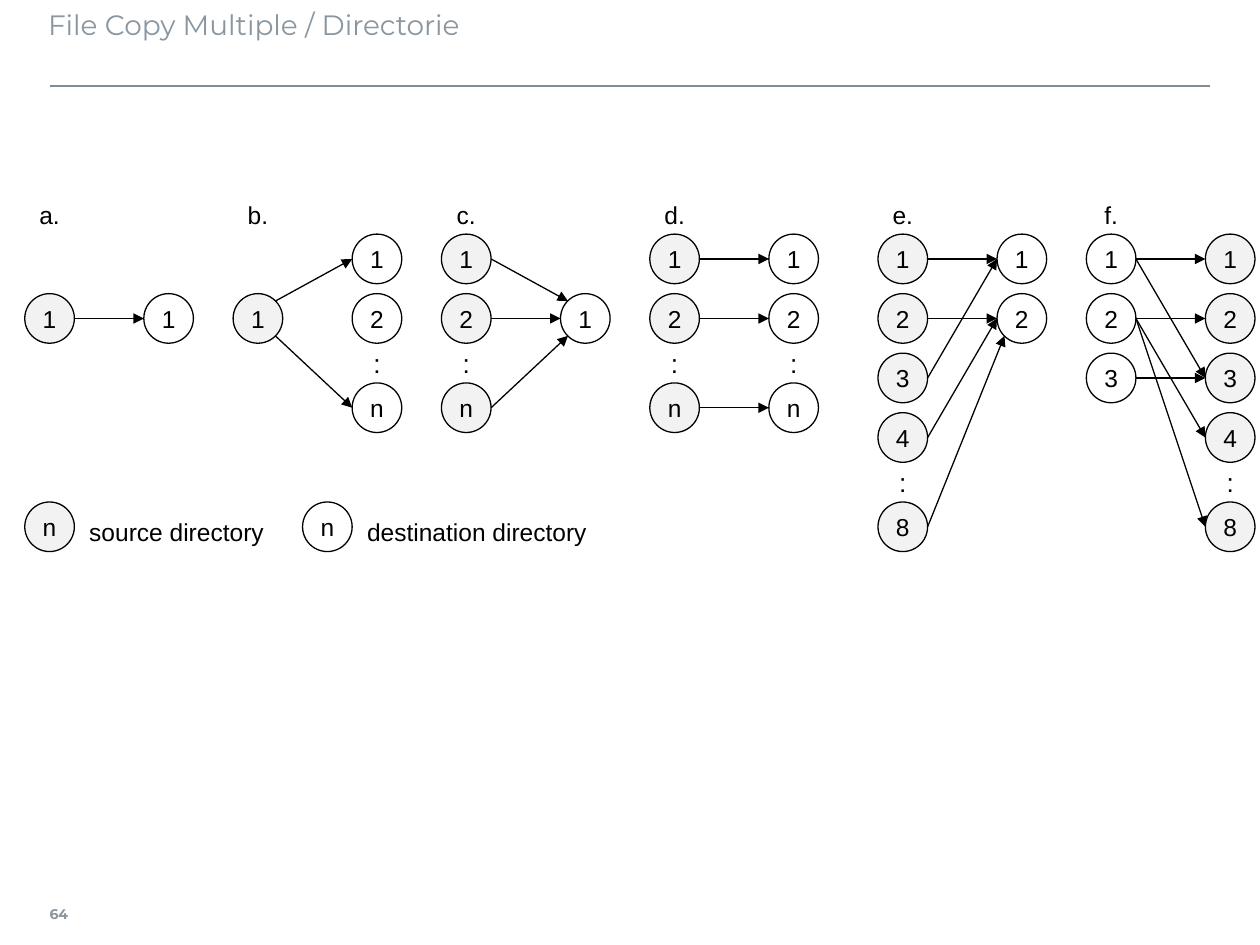
from dataclasses import dataclass

from lxml import etree
from pptx import Presentation
from pptx.dml.color import RGBColor
from pptx.enum.shapes import MSO_CONNECTOR, MSO_SHAPE
from pptx.enum.text import MSO_ANCHOR, PP_ALIGN
from pptx.oxml.ns import qn
from pptx.util import Cm, Pt

STRAIGHT = MSO_CONNECTOR.STRAIGHT
OVAL = MSO_SHAPE.OVAL
TOP, MIDDLE = MSO_ANCHOR.TOP, MSO_ANCHOR.MIDDLE
LEFT, CENTER = PP_ALIGN.LEFT, PP_ALIGN.CENTER


@dataclass(frozen=True)
class Theme:
    """Colours, fonts and type sizes of the slide."""
    ink: RGBColor = RGBColor(0, 0, 0)
    heading: RGBColor = RGBColor(0x89, 0x96, 0xA0)
    rule: RGBColor = RGBColor(0x80, 0x8D, 0x97)
    source: RGBColor = RGBColor(0xF2, 0xF2, 0xF2)
    heading_font: str = "Montserrat"
    body_font: str = "Arial"
    title_size: int = 16
    body_size: int = 14
    dots_size: int = 15
    number_size: int = 8


THEME = Theme()

# Diagram grid, in centimetres
DIAMETER = 1.0
ROW_TOP, ROW_PITCH = 4.72, 1.2
TARGET_SHIFT = 2.4
LABEL_TOP = 3.92
LABEL_WIDTH, LABEL_HEIGHT = 0.6, 0.8
LABEL_INSET = (DIAMETER - LABEL_WIDTH) / 2
LEGEND_ROW, LEGEND_WIDTH = 4.5, 4.8

# Points on a circle, as fractions of its diameter
E, W = (1, 0.5), (0, 0.5)
NE, SE = (0.85, 0.15), (0.85, 0.85)
NW, SW = (0.15, 0.15), (0.15, 0.85)

# Circle label -> row; a half row leaves room for the dots
ONE = {"1": 1}
TWO = {"1": 0, "2": 1}
THREE = {**TWO, "3": 2}
MANY = {**TWO, "n": 2.5}
EIGHT = {**THREE, "4": 3, "8": 4.5}

# name, left, left circles, right circles, left side is source,
# links (from, to, leaving point, arriving point)
CASES = [
    ("a.", 0.5, ONE, ONE, True, [("1", "1", E, W)]),
    ("b.", 4.7, ONE, MANY, True, [("1", "1", NE, W), ("1", "n", SE, W)]),
    ("c.", 8.9, MANY, ONE, True,
     [("1", "1", E, NW), ("2", "1", E, W), ("n", "1", E, SW)]),
    ("d.", 13.1, MANY, MANY, True, [(key, key, E, W) for key in MANY]),
    ("e.", 17.7, EIGHT, TWO, True,
     [("1", "1", E, W), ("2", "2", E, W), ("3", "1", E, W),
      ("4", "2", E, W), ("8", "2", E, SW)]),
    ("f.", 21.9, THREE, EIGHT, False,
     [("1", "1", E, W), ("1", "3", E, W), ("2", "2", E, W),
      ("2", "4", E, W), ("2", "8", E, W), ("3", "3", E, W)]),
]


def write(shape, text, *, size=THEME.body_size, font=THEME.body_font,
          color=THEME.ink, bold=False, align=CENTER, anchor=MIDDLE,
          wrap=False, insets=(0.1, 0.1, 0.1, 0.1)):
    """Put one formatted paragraph into a shape."""
    frame = shape.text_frame
    frame.word_wrap = wrap
    frame.vertical_anchor = anchor
    (frame.margin_left, frame.margin_top,
     frame.margin_right, frame.margin_bottom) = map(Cm, insets)
    para = frame.paragraphs[0]
    para.alignment = align
    span = para.add_run()
    span.text = text
    span.font.size = Pt(size)
    span.font.name = font
    span.font.bold = bold
    span.font.color.rgb = color


def add_text(page, text, left, top, width, height, **style):
    """Add a text box."""
    box = page.shapes.add_textbox(Cm(left), Cm(top), Cm(width), Cm(height))
    write(box, text, **style)


def add_line(page, start, end, *, color=THEME.ink, width=0.75, arrow=False):
    """Add a straight line, with an arrowhead at its end if wanted."""
    line = page.shapes.add_connector(STRAIGHT, *map(Cm, start + end))
    line.line.color.rgb = color
    line.line.width = Pt(width)
    if arrow:
        outline = line.line._get_or_add_ln()
        etree.SubElement(outline, qn("a:tailEnd"), type="triangle")
    etree.SubElement(line._element.spPr, qn("a:effectLst"))


def row_top(row):
    """Return the top of a circle row."""
    return ROW_TOP + row * ROW_PITCH


def add_circle(page, text, left, row, is_source):
    """Add a directory circle, filled when it is a source."""
    circle = page.shapes.add_shape(OVAL, Cm(left), Cm(row_top(row)),
                                   Cm(DIAMETER), Cm(DIAMETER))
    circle.shadow.inherit = False
    if is_source:
        circle.fill.solid()
        circle.fill.fore_color.rgb = THEME.source
    else:
        circle.fill.background()
    circle.line.color.rgb = THEME.ink
    circle.line.width = Pt(0.75)
    write(circle, text)


def add_label(page, text, left, top, **style):
    """Add a short label centred on a column of circles."""
    add_text(page, text, left + LABEL_INSET, top, LABEL_WIDTH, LABEL_HEIGHT,
             insets=(0, 0.1, 0, 0.1), **style)


def add_column(page, left, circles, is_source):
    """Add a column of circles, with dots above a half row."""
    for text, row in circles.items():
        add_circle(page, text, left, row, is_source)
        if row % 1:
            add_label(page, ":", left, row_top(row) - LABEL_HEIGHT,
                      size=THEME.dots_size)


def point(left, row, site):
    """Return the position of a point on a circle."""
    return left + site[0] * DIAMETER, row_top(row) + site[1] * DIAMETER


def add_case(page, name, left, starts, ends, starts_are_sources, links):
    """Add one copy case: label, two columns and their arrows."""
    right = left + TARGET_SHIFT
    add_label(page, name, left, LABEL_TOP)
    add_column(page, left, starts, starts_are_sources)
    add_column(page, right, ends, not starts_are_sources)
    for start, end, leaving, arriving in links:
        add_line(page, point(left, starts[start], leaving),
                 point(right, ends[end], arriving), arrow=True)


def add_legend(page, text, left, is_source):
    """Add a legend circle with its explanation."""
    add_circle(page, "n", left, LEGEND_ROW, is_source)
    add_text(page, text, left + 1.3, row_top(LEGEND_ROW) + 0.2,
             LEGEND_WIDTH, LABEL_HEIGHT, align=LEFT, insets=(0, 0.1, 0, 0.1))


def main():
    """Build and save the slide."""
    deck = Presentation()
    deck.slide_width, deck.slide_height = Cm(25.4), Cm(19.05)
    page = deck.slides.add_slide(deck.slide_layouts[6])

    heading = {"font": THEME.heading_font, "color": THEME.heading,
               "align": LEFT}
    add_line(page, (1, 1.73), (24.4, 1.73), color=THEME.rule, width=1)
    add_text(page, "64", 1, 17.93, 0.9, 1, size=THEME.number_size, bold=True,
             insets=(0, 0.13, 0.2, 0.13), **heading)
    add_text(page, "File Copy Multiple / Directorie", 0.97, 0.03, 23.4, 1.6,
             size=THEME.title_size, anchor=TOP, wrap=True,
             insets=(0, 0.13, 0.25, 0.13), **heading)

    for case in CASES:
        add_case(page, *case)
    add_legend(page, "source directory", 0.5, True)
    add_legend(page, "destination directory", 6.1, False)
    deck.save("out.pptx")


main()
